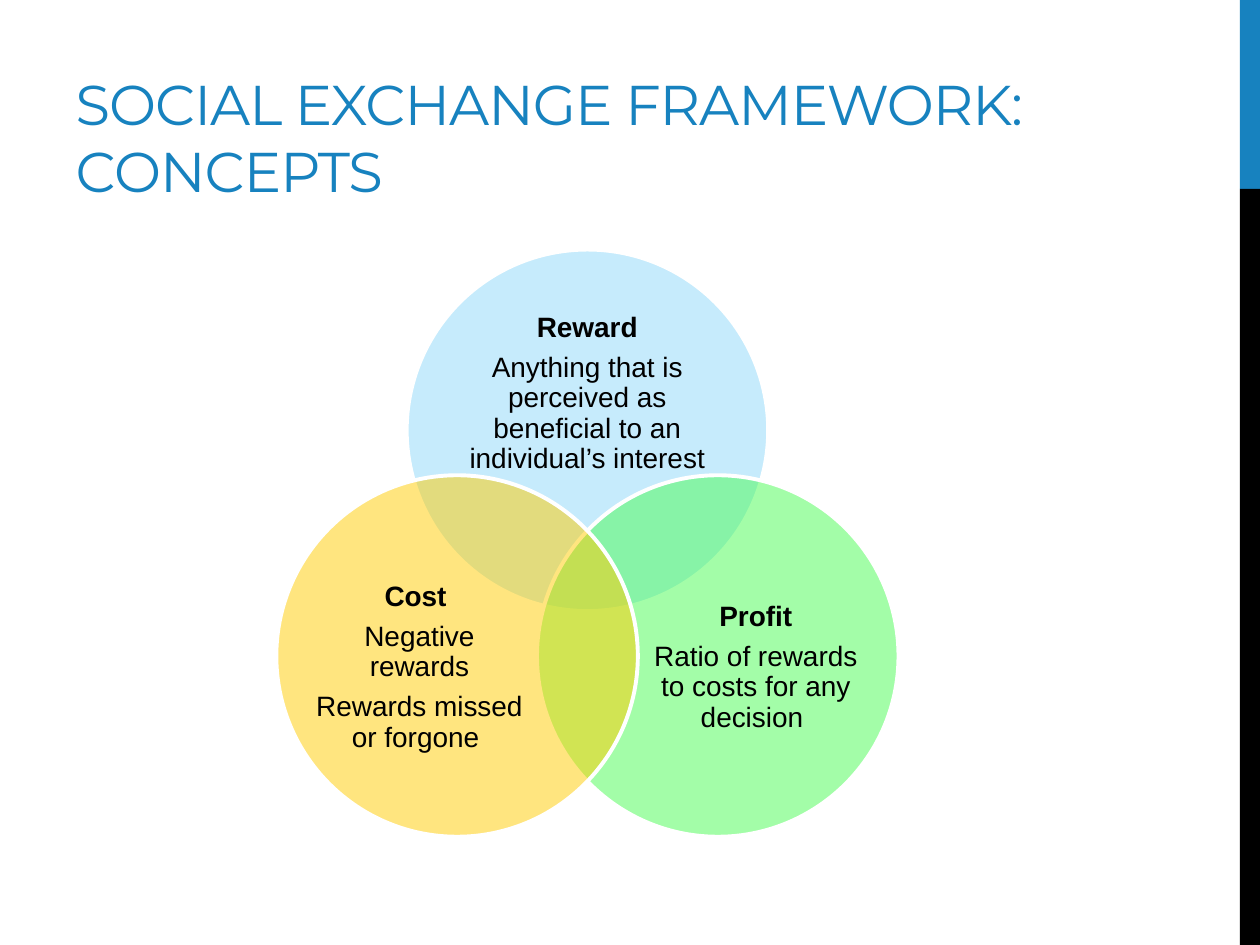
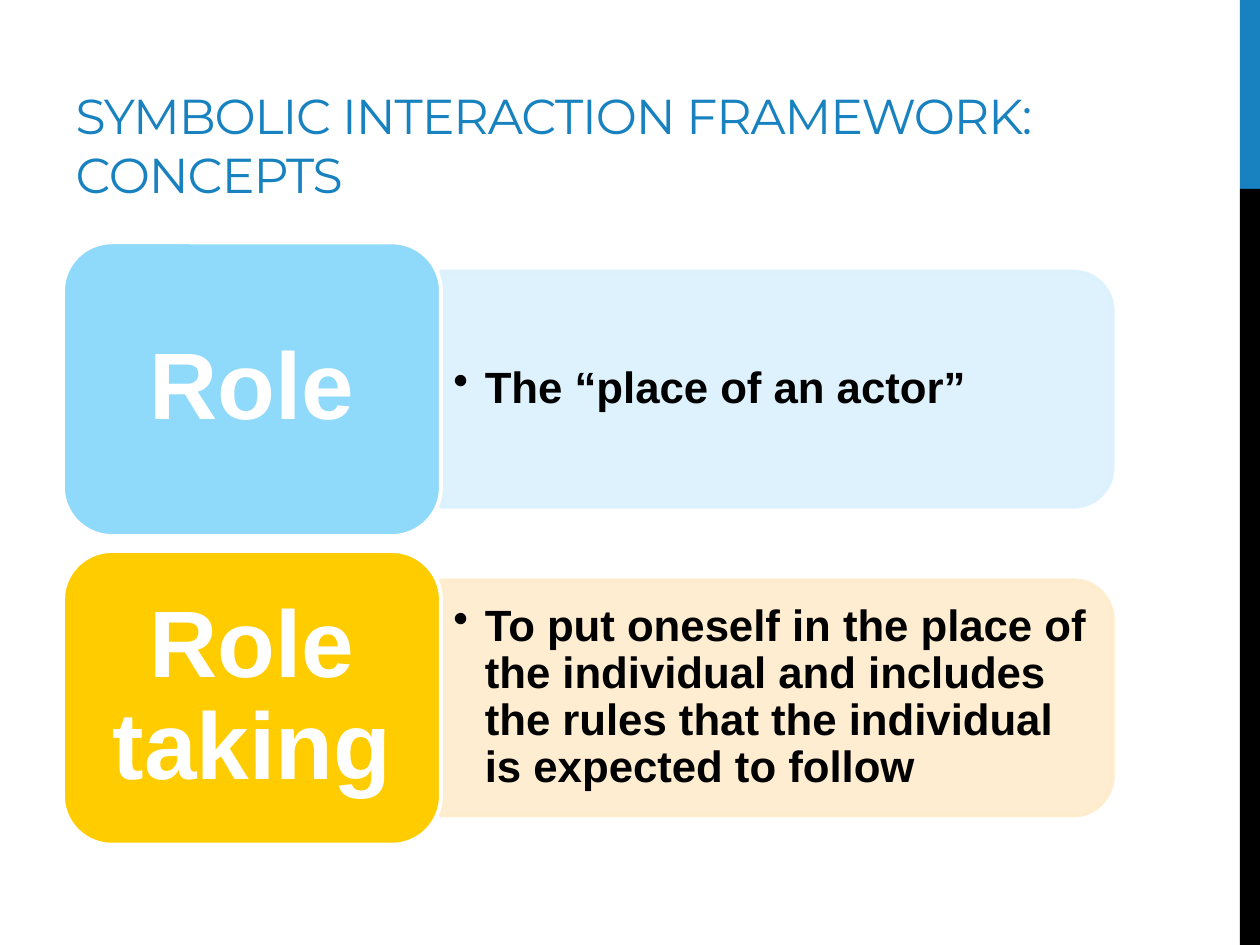
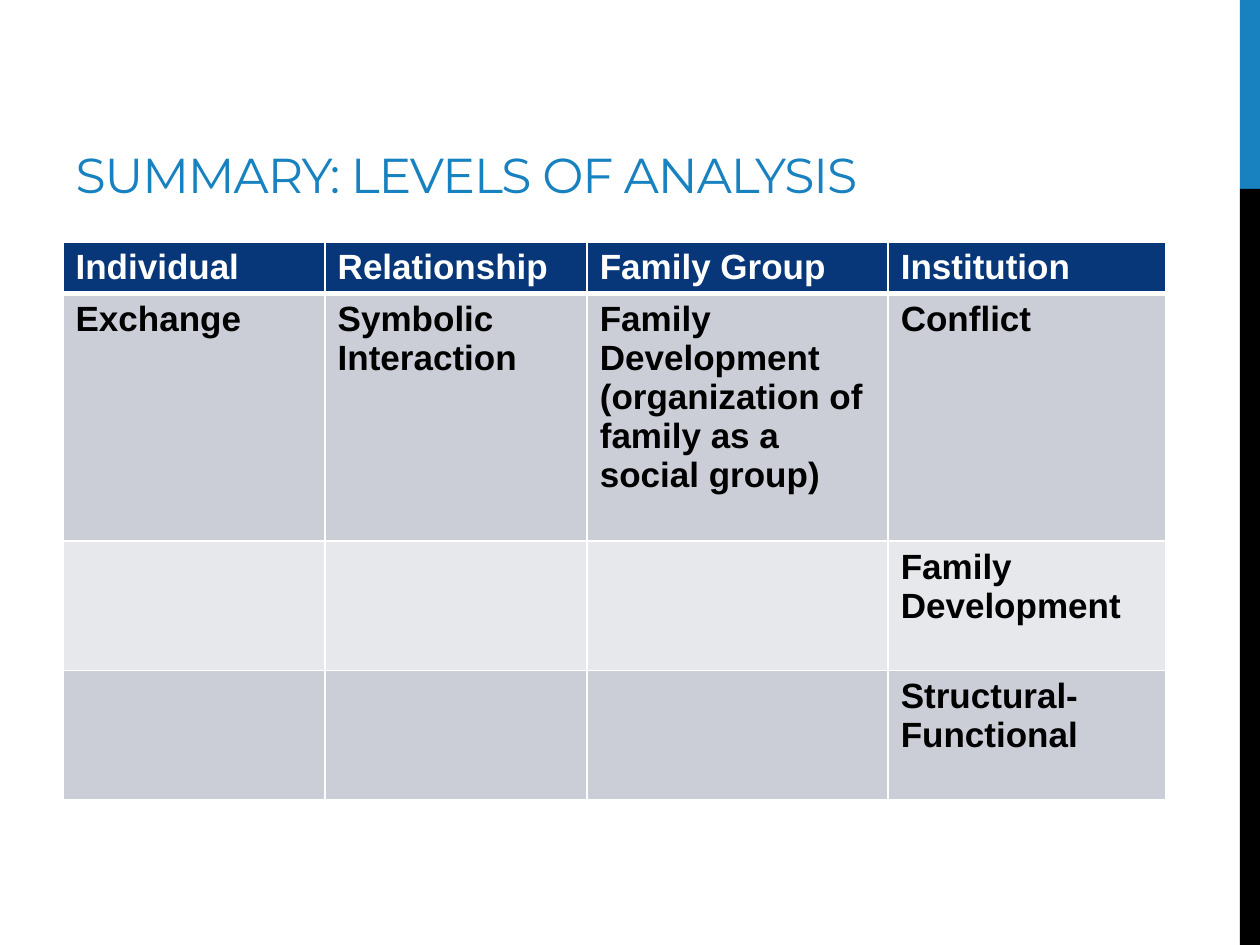
from dataclasses import dataclass
from math import cos, radians, sin

from lxml.etree import SubElement
from pptx import Presentation
from pptx.dml.color import RGBColor as RGB
from pptx.enum.shapes import MSO_SHAPE as SHAPE
from pptx.enum.text import MSO_ANCHOR as ANCHOR, MSO_AUTO_SIZE as FIT, PP_ALIGN as ALIGN
from pptx.oxml.ns import qn
from pptx.util import Pt


@dataclass(frozen=True)
class Theme:
    accent: str = "1782BF"
    black: str = "000000"
    white: str = "FFFFFF"
    sky: str = "8FD9FB"
    pale_sky: str = "DBF1FD"
    gold: str = "FFCC00"
    pale_gold: str = "FFECCC"
    green: str = "49FC53"
    header: str = "073779"
    stripes: tuple = ("CCCED7", "E7E8EC")
    title_font: str = "Montserrat"
    body_font: str = "Arial"
    title_large: float = 32
    title_normal: float = 28
    circle_text: float = 16
    table_text: float = 20
    detail_text: float = 25
    label_text: float = 54
    outline: float = 2.25


THEME = Theme()


def points(*lengths):
    return [Pt(length) for length in lengths]


def style_runs(paragraph, size, colour, bold=False, face=THEME.body_font):
    for run in paragraph.runs:
        run.font.name = face
        run.font.size = Pt(size)
        run.font.bold = bold
        run.font.color.rgb = RGB.from_string(colour)


def set_opacity(parent, percent):
    colour = parent.find(qn("a:solidFill"))[0]
    SubElement(colour, qn("a:alpha"), val=str(percent * 1000))


def add_block(slide, kind, box, colour, outline=None):
    block = slide.shapes.add_shape(kind, *points(*box))
    block.shadow.inherit = False
    block.fill.solid()
    block.fill.fore_color.rgb = RGB.from_string(colour)
    if outline:
        block.line.color.rgb = RGB.from_string(outline)
        block.line.width = Pt(THEME.outline)
    else:
        block.line.fill.background()
    return block


def add_words(slide, box, text, size, colour, inset=(0, 0), after=0.35):
    frame = slide.shapes.add_textbox(*points(*box)).text_frame
    frame.word_wrap = True
    frame.vertical_anchor = ANCHOR.MIDDLE
    frame.margin_left = frame.margin_right = Pt(inset[0])
    frame.margin_top = frame.margin_bottom = Pt(inset[1])
    frame.text = text
    for paragraph in frame.paragraphs:
        paragraph.alignment = ALIGN.CENTER
        paragraph.line_spacing = 0.9
        paragraph.space_after = Pt(round(size * after, 2))
        style_runs(paragraph, size, colour, bold=paragraph is frame.paragraphs[0])
    style_runs(frame.paragraphs[0], size, colour, bold=True)
    return frame


def add_bullet(paragraph):
    paragraph.alignment = ALIGN.LEFT
    properties = paragraph._p.get_or_add_pPr()
    properties.set("marL", str(Pt(18)))
    properties.set("indent", str(-Pt(18)))
    SubElement(properties, qn("a:buChar"), char="•")


def add_titled_slide(deck, text, size):
    slide = deck.slides.add_slide(deck.slide_layouts[5])
    title = slide.shapes.title
    title.left, title.top, title.width, title.height = points(36, 12, 666.5, 108)
    frame = title.text_frame
    frame.text = text
    frame.word_wrap = True
    frame.auto_size = FIT.NONE
    frame.vertical_anchor = ANCHOR.BOTTOM
    heading = frame.paragraphs[0]
    heading.alignment = ALIGN.LEFT
    style_runs(heading, size, THEME.accent, face=THEME.title_font)
    for run in heading.runs:
        run.font._element.set("spc", "-60")
    return slide


def add_side_bands(deck, slide):
    bands = ((0, 108, THEME.accent), (108, 432, THEME.black))
    for number, (top, height, colour) in enumerate(bands):
        band = add_block(slide, SHAPE.RECTANGLE, (708.5, top, 11.5, height), colour)
        band.element.nvSpPr.cNvPr.id = 100 + number
        deck.slide_master.shapes.element.append(band.element)


def add_venn(slide):
    hub_x, hub_y, orbit, diameter = 335.7, 331.9, 86, 206.6
    concepts = (
        (-90, THEME.sky, (260, 178.6, 151.2, 92.9),
         "Reward\nAnything that is perceived as beneficial to an individual’s interest"),
        (30, THEME.green, (370, 324.7, 123.8, 113.8),
         "Profit\nRatio of rewards to costs for any decision "),
        (150, THEME.gold, (177.8, 324.7, 123.8, 113.8),
         "Cost \nNegative rewards\nRewards missed or forgone "),
    )
    for angle, colour, text_box, text in concepts:
        left = hub_x + orbit * cos(radians(angle)) - diameter / 2
        top = hub_y + orbit * sin(radians(angle)) - diameter / 2
        circle = add_block(slide, SHAPE.OVAL, (left, top, diameter, diameter),
                           colour, THEME.white)
        set_opacity(circle.element.spPr, 50)
        add_words(slide, text_box, text, THEME.circle_text, THEME.black)


def add_definition(slide, top, term, meaning, colour, pale):
    left, label_width, label_height = 36, 216, 167.8
    detail_left, detail_width, detail_height = left + label_width, 383.8, 134.4
    middle = top + label_height / 2
    upright = (detail_left + (detail_width - detail_height) / 2,
               middle - detail_width / 2, detail_height, detail_width)
    detail = add_block(slide, SHAPE.ROUND_2_SAME_RECTANGLE, upright, pale, pale)
    detail.rotation = 90
    properties = detail.element.spPr
    set_opacity(properties, 90)
    set_opacity(properties.find(qn("a:ln")), 90)
    words = add_words(slide, (detail_left, middle - 60.5, 377.3, 121), meaning,
                      THEME.detail_text, THEME.black, (7.2, 3.6), 0.15)
    add_bullet(words.paragraphs[0])

    add_block(slide, SHAPE.ROUNDED_RECTANGLE, (left, top, label_width, label_height),
              colour, THEME.white)
    pad = 8
    add_words(slide, (left + pad, top + pad, label_width - 2 * pad, label_height - 2 * pad),
              term, THEME.label_text, THEME.white, (16.5, 8))


def add_borders(cell, top, bottom):
    properties = cell._tc.get_or_add_tcPr()
    sides = (("a:lnL", 1), ("a:lnR", 1), ("a:lnT", top), ("a:lnB", bottom))
    for position, (side, width) in enumerate(sides):
        border = SubElement(properties, qn(side), w=str(Pt(width)))
        fill = SubElement(border, qn("a:solidFill"))
        SubElement(fill, qn("a:srgbClr"), val=THEME.white)
        properties.insert(position, border)


def add_levels_table(slide):
    columns = (149.8, 149.8, 172, 158.4)
    heights = (29, 141.5, 74, 74)
    rows = (
        ("Individual", "Relationship", "Family Group", "Institution"),
        ("Exchange", "Symbolic Interaction",
         "Family Development\n(organization of family as a social group)", "Conflict"),
        ("", "", "", "Family Development"),
        ("", "", "", "Structural-Functional"),
    )
    table = slide.shapes.add_table(len(rows), len(columns),
                                   *points(36, 138.2, sum(columns), sum(heights))).table
    for column, width in zip(table.columns, columns):
        column.width = Pt(width)
    for index, (texts, height) in enumerate(zip(rows, heights)):
        table.rows[index].height = Pt(height)
        is_header = index == 0
        fill = THEME.header if is_header else THEME.stripes[(index - 1) % 2]
        ink = THEME.white if is_header else THEME.black
        for cell, text in zip(table.rows[index].cells, texts):
            cell.text = text
            cell.fill.solid()
            cell.fill.fore_color.rgb = RGB.from_string(fill)
            add_borders(cell, 3 if index == 1 else 1, 3 if is_header else 1)
            for paragraph in cell.text_frame.paragraphs:
                style_runs(paragraph, THEME.table_text, ink, bold=True)


def main():
    deck = Presentation()
    deck.slide_width, deck.slide_height = points(720, 540)

    exchange = add_titled_slide(deck, "SOCIAL EXCHANGE FRAMEWORK:\vCONCEPTS",
                                THEME.title_large)
    add_side_bands(deck, exchange)
    add_venn(exchange)

    interaction = add_titled_slide(deck, "SYMBOLIC INTERACTION FRAMEWORK:\vCONCEPTS",
                                   THEME.title_normal)
    definitions = (
        ("Role", "The “place of an actor”", THEME.sky, THEME.pale_sky),
        ("Role taking", "To put oneself in the place of the individual and includes "
         "the rules that the individual is expected to follow",
         THEME.gold, THEME.pale_gold),
    )
    for index, definition in enumerate(definitions):
        add_definition(interaction, 138.5 + index * 176.4, *definition)

    summary = add_titled_slide(deck, "SUMMARY: LEVELS OF ANALYSIS", THEME.title_normal)
    add_levels_table(summary)

    deck.save("out.pptx")


main()
